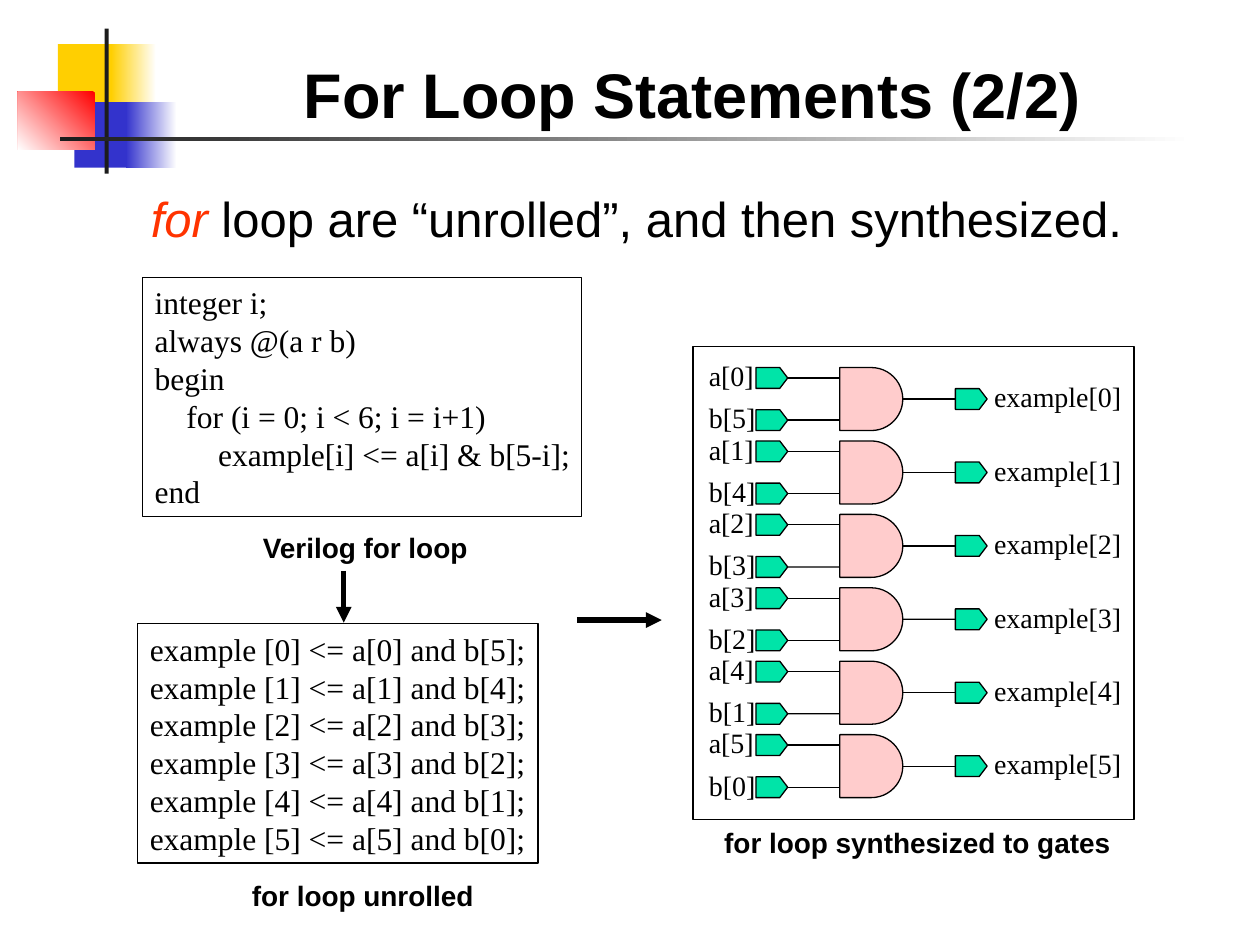
from dataclasses import dataclass

from lxml import etree
from pptx import Presentation
from pptx.dml.color import RGBColor
from pptx.enum.shapes import MSO_CONNECTOR, MSO_SHAPE
from pptx.enum.text import MSO_ANCHOR, MSO_AUTO_SIZE, PP_ALIGN
from pptx.oxml.ns import qn
from pptx.util import Cm, Pt

RECTANGLE = MSO_SHAPE.RECTANGLE
PORT_SHAPE = MSO_SHAPE.PENTAGON
GATE_SHAPE = MSO_SHAPE.FLOWCHART_DELAY
STRAIGHT = MSO_CONNECTOR.STRAIGHT
FIT_TEXT, FIXED_SIZE = MSO_AUTO_SIZE.SHAPE_TO_FIT_TEXT, MSO_AUTO_SIZE.NONE
TOP, BOTTOM = MSO_ANCHOR.TOP, MSO_ANCHOR.BOTTOM
LEFT = PP_ALIGN.LEFT
LEFT_SIDE, RIGHT_SIDE = 1, 3


@dataclass(frozen=True)
class Theme:
    sans: str = "Arial"
    serif: str = "Times New Roman"
    black: str = "000000"
    white: str = "FFFFFF"
    dark: str = "1C1C1C"
    yellow: str = "FFCF01"
    blue: str = "3333CC"
    red: str = "FF0000"
    keyword: str = "FF3300"
    gate: str = "FFCCCC"
    port: str = "00E4A8"
    title_size: int = 36
    body_size: int = 28
    code_size: int = 18
    label_size: int = 16
    thin: float = 0.75
    thick: float = 3


THEME = Theme()

LOOP_CODE = [  # indent level, text
    (0, "integer i;"),
    (0, "always @(a r b)"),
    (0, "begin"),
    (1, "for (i = 0; i < 6; i = i+1)"),
    (2, "example[i] <= a[i] & b[5-i];"),
    (0, "end"),
]
GATE_COUNT = 6
GATE_TOP, GATE_PITCH, GATE_SIZE = 7.41, 1.48, 1.27
INPUT_LEFT, GATE_LEFT, OUTPUT_LEFT = 15.24, 16.93, 19.26
PORT_WIDTH, PORT_HEIGHT = 0.64, 0.42
LABEL_HEIGHT = 0.94


def color(value):
    return RGBColor.from_string(value)


def add_span(para, text, size, font=THEME.sans, fill=THEME.black,
             bold=False, italic=False):
    span = para.add_run()
    span.text = text
    span.font.name = font
    span.font.size = Pt(size)
    span.font.bold = bold
    span.font.italic = italic
    span.font.color.rgb = color(fill)


def add_block(page, left, top, width, height, fill=None, line=None, shape=RECTANGLE):
    """Add a preset shape; without a fill or line colour that part is empty."""
    block = page.shapes.add_shape(shape, Cm(left), Cm(top), Cm(width), Cm(height))
    block.shadow.inherit = False
    if fill:
        block.fill.solid()
        block.fill.fore_color.rgb = color(fill)
    else:
        block.fill.background()
    if line:
        block.line.color.rgb = color(line)
        block.line.width = Pt(THEME.thin)
    else:
        block.line.fill.background()
    return block


def add_fade(page, left, top, width, height, start, end, angle=180):
    block = add_block(page, left, top, width, height)
    block.fill.gradient()
    block.fill.gradient_angle = angle
    for stop, position, value in zip(block.fill.gradient_stops, (0, 1), (start, end)):
        stop.position = position
        stop.color.rgb = color(value)


def add_wire(page, start, end, width=THEME.thin, arrow=False):
    wire = page.shapes.add_connector(STRAIGHT, *map(Cm, start + end))
    wire.line.color.rgb = color(THEME.black)
    wire.line.width = Pt(width)
    if arrow:
        etree.SubElement(wire.line._get_or_add_ln(), qn("a:tailEnd"), type="triangle")
    etree.SubElement(wire._element.spPr, qn("a:effectLst"))
    return wire


def add_label(page, left, top, width, text, font=THEME.sans, bold=False):
    """Add a one-line label whose box fits its text."""
    box = page.shapes.add_textbox(Cm(left), Cm(top), Cm(width), Cm(LABEL_HEIGHT))
    box.text_frame.word_wrap = False
    box.text_frame.auto_size = FIT_TEXT
    add_span(box.text_frame.paragraphs[0], text, THEME.label_size, font, bold=bold)


def add_code(page, left, top, width, height, lines):
    frame = add_block(page, left, top, width, height, line=THEME.black).text_frame
    frame.word_wrap = False
    frame.vertical_anchor = TOP
    for index, (level, text) in enumerate(lines):
        para = frame.add_paragraph() if index else frame.paragraphs[0]
        para.alignment = LEFT
        if level:
            para._p.get_or_add_pPr().set("marL", str(Cm(0.64 * level)))
        add_span(para, text, THEME.code_size, THEME.serif)


def add_port(page, left, middle):
    port = add_block(page, left, middle - PORT_HEIGHT / 2, PORT_WIDTH, PORT_HEIGHT,
                     THEME.port, THEME.black, PORT_SHAPE)
    port.adjustments[0] = 0.38
    return port


def add_gate(page, index):
    """Add one AND gate with its two inputs, its output and their labels."""
    top = GATE_TOP + index * GATE_PITCH
    middle = top + GATE_SIZE / 2
    gate = add_block(page, GATE_LEFT, top, GATE_SIZE, GATE_SIZE,
                     THEME.gate, THEME.black, GATE_SHAPE)
    inputs = (
        (f"a[{index}]", top + PORT_HEIGHT / 2),
        (f"b[{GATE_COUNT - 1 - index}]", top + GATE_SIZE - PORT_HEIGHT / 2),
    )
    for text, level in inputs:
        port = add_port(page, INPUT_LEFT, level)
        wire = add_wire(page, (INPUT_LEFT + PORT_WIDTH, level), (GATE_LEFT, level))
        wire.begin_connect(port, RIGHT_SIDE)
        add_label(page, 14.04, level - 0.51, 1.46, text, THEME.serif)

    output = add_port(page, OUTPUT_LEFT, middle)
    wire = add_wire(page, (GATE_LEFT + GATE_SIZE, middle), (OUTPUT_LEFT, middle))
    wire.begin_connect(gate, RIGHT_SIDE)
    wire.end_connect(output, LEFT_SIDE)
    add_label(page, 19.79, middle - 0.51, 3.07, f"example[{index}]", THEME.serif)


def add_decoration(page):
    add_block(page, 1.17, 0.89, 1.22, 1.32, THEME.yellow)
    add_fade(page, 2.24, 0.89, 0.91, 1.32, THEME.white, THEME.yellow)
    add_block(page, 1.5, 2.06, 1.17, 1.32, THEME.blue)
    add_fade(page, 2.54, 2.06, 1.02, 1.32, THEME.white, THEME.blue)
    add_fade(page, 0.36, 1.85, 1.55, 1.17, THEME.red, THEME.white, 225)
    add_block(page, 2.11, 0.58, 0.08, 2.92, THEME.dark)
    add_fade(page, 1.22, 2.77, 22.86, 0.08, THEME.white, THEME.dark)


def set_title(page, text):
    title = page.shapes.title
    title.left, title.top, title.width, title.height = map(Cm, (5.87, 0.99, 19.05, 1.78))
    frame = title.text_frame
    frame.auto_size = FIXED_SIZE
    frame.vertical_anchor = BOTTOM
    para = frame.paragraphs[0]
    para.alignment = LEFT
    add_span(para, text, THEME.title_size, bold=True)


def add_statement(page):
    box = page.shapes.add_textbox(Cm(2.79), Cm(3.68), Cm(22.86), Cm(2.54))
    box.text_frame.word_wrap = True
    para = box.text_frame.paragraphs[0]
    para.space_before = Pt(7)
    add_span(para, "for", THEME.body_size, fill=THEME.keyword, italic=True)
    add_span(para, " loop are “unrolled”, and then synthesized.", THEME.body_size)


def main():
    deck = Presentation()
    deck.slide_width, deck.slide_height = Cm(25.4), Cm(19.05)
    page = deck.slides.add_slide(deck.slide_layouts[5])

    add_decoration(page)
    set_title(page, "For Loop Statements (2/2)")
    add_statement(page)

    unrolled = [(0, f"example [{i}] <= a[{i}] and b[{GATE_COUNT - 1 - i}];")
                for i in range(GATE_COUNT)]
    add_code(page, 2.87, 5.59, 8.86, 4.83, LOOP_CODE)
    add_code(page, 2.77, 12.57, 8.08, 4.83, unrolled)
    add_wire(page, (6.93, 11.51), (6.93, 12.55), THEME.thick, arrow=True)
    add_wire(page, (11.63, 12.5), (13.34, 12.5), THEME.thick, arrow=True)

    for index in range(GATE_COUNT):
        add_gate(page, index)
    add_block(page, 13.97, 6.99, 8.89, 9.53, line=THEME.black)

    add_label(page, 5.05, 10.57, 4.67, "Verilog for loop", bold=True)
    add_label(page, 4.83, 17.58, 4.98, "for loop unrolled", bold=True)
    add_label(page, 14.35, 16.51, 8.36, "for loop synthesized to gates", bold=True)
    deck.save("out.pptx")


if __name__ == "__main__":
    main()
